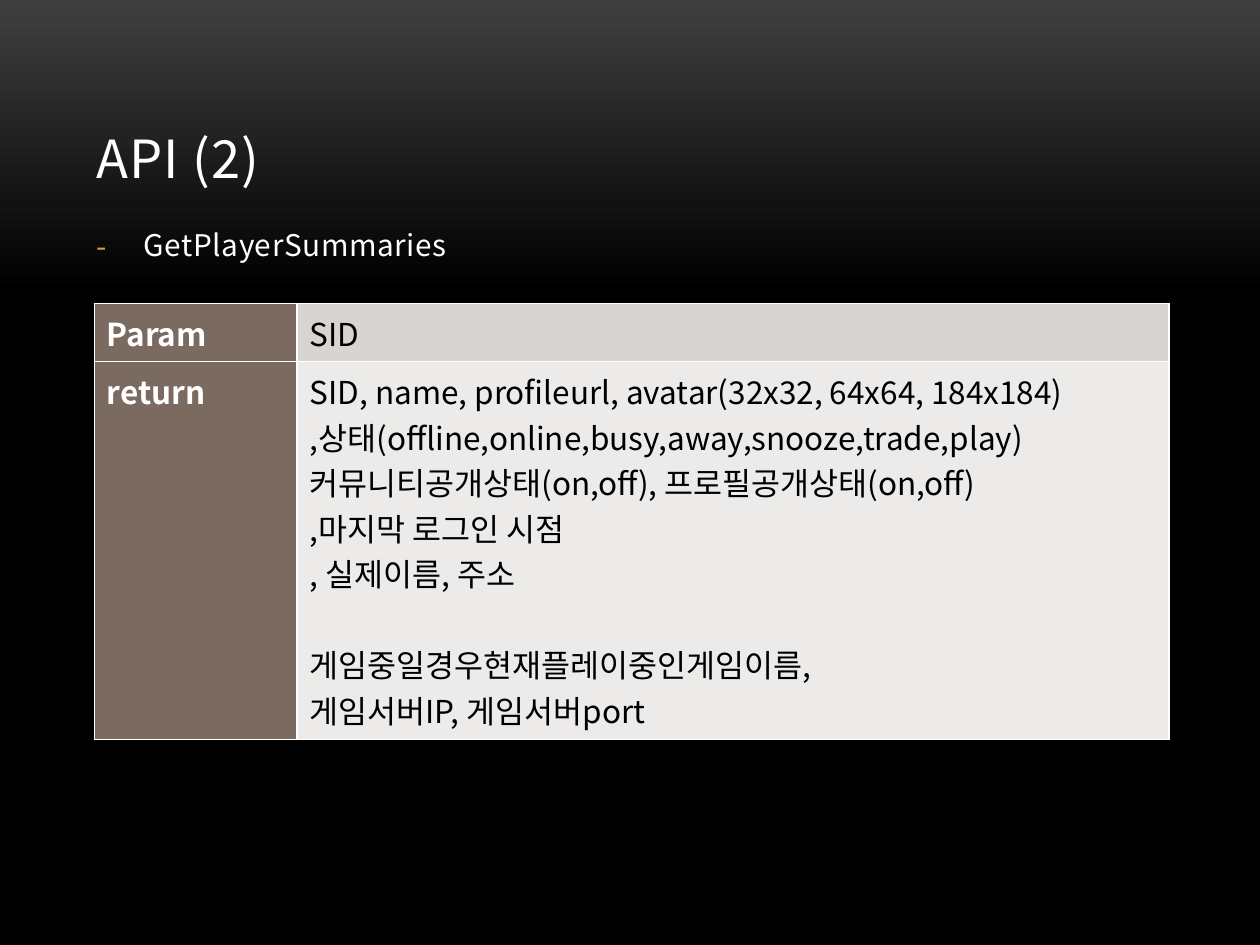
from copy import deepcopy
from dataclasses import dataclass

from lxml import etree
from pptx import Presentation
from pptx.dml.color import RGBColor
from pptx.enum.text import MSO_ANCHOR, MSO_AUTO_SIZE, PP_ALIGN
from pptx.oxml.ns import qn
from pptx.util import Cm, Pt

TITLE_ONLY = 5
BOTTOM, TOP = MSO_ANCHOR.BOTTOM, MSO_ANCHOR.TOP
LEFT = PP_ALIGN.LEFT
NO_AUTOFIT = MSO_AUTO_SIZE.NONE


@dataclass(frozen=True)
class Theme:
    font: str = "Noto Sans CJK KR"
    title_size: float = 30
    body_size: float = 17
    table_size: float = 18
    light: str = "FFFFFF"
    dark: str = "000000"
    glow: str = "3F3F3F"
    accent: str = "DC9E1F"
    header: str = "7A6A60"
    bands: tuple = ("D7D4D2", "ECEBEA")


def add_solid_fill(parent, color):
    fill = etree.SubElement(parent, qn("a:solidFill"))
    etree.SubElement(fill, qn("a:srgbClr"), val=color)


class SlideBuilder:
    def __init__(self, presentation, theme):
        self.theme = theme
        self.slide = presentation.slides.add_slide(
            presentation.slide_layouts[TITLE_ONLY])

    def format_runs(self, paragraph, size, color, bold=False, spacing=0):
        """Style every run; spacing is the letter spacing in points."""
        paragraph.alignment = LEFT
        for run in paragraph.runs:
            font = run.font
            font.name, font.size, font.bold = self.theme.font, Pt(size), bold
            font.color.rgb = RGBColor.from_string(color)
            properties = run._r.get_or_add_rPr()
            etree.SubElement(properties, qn("a:ea"), typeface=self.theme.font)
            if spacing:
                properties.set("spc", str(round(spacing * 100)))

    def background(self):
        """Fade from the glow at the top to the dark colour at 31 %."""
        fill = self.slide.background.fill
        fill.gradient()
        fill.gradient_angle = 270
        colors = (self.theme.glow, self.theme.dark)
        for stop, color, position in zip(fill.gradient_stops, colors, (0, 0.31)):
            stop.color.rgb = RGBColor.from_string(color)
            stop.position = position
        last_stop = list(self.slide.element.iter(qn("a:gs")))[-1]
        end_stop = deepcopy(last_stop)
        end_stop.set("pos", "100000")
        last_stop.addnext(end_stop)

    def title(self, text, left, top, width, height):
        shape = self.slide.shapes.title
        shape.left, shape.top, shape.width, shape.height = left, top, width, height
        frame = shape.text_frame
        frame.text = text
        frame.auto_size = NO_AUTOFIT
        frame.vertical_anchor = BOTTOM
        self.format_runs(frame.paragraphs[0], self.theme.title_size,
                         self.theme.light, spacing=0.5)

    def bullets(self, items, left, top, width, height):
        frame = self.slide.shapes.add_textbox(left, top, width, height).text_frame
        frame.word_wrap = True
        frame.text = "\n".join(items)
        for paragraph in frame.paragraphs:
            self.format_runs(paragraph, self.theme.body_size,
                             self.theme.light, spacing=0.3)
            paragraph.space_before, paragraph.space_after = Pt(3.4), Pt(6)
            properties = paragraph._p.get_or_add_pPr()
            properties.set("marL", str(Cm(0.95)))
            properties.set("indent", str(-Cm(0.95)))
            bullet_color = etree.SubElement(properties, qn("a:buClr"))
            etree.SubElement(bullet_color, qn("a:srgbClr"), val=self.theme.accent)
            etree.SubElement(properties, qn("a:buFont"), typeface=self.theme.font)
            etree.SubElement(properties, qn("a:buChar"), char="-")

    def cell(self, cell, text, fill, color, bold):
        cell.text = text
        cell.vertical_anchor = TOP
        for paragraph in cell.text_frame.paragraphs:
            self.format_runs(paragraph, self.theme.table_size, color, bold)
        properties = cell._tc.get_or_add_tcPr()
        for side in ("lnL", "lnR", "lnT", "lnB"):
            line = etree.SubElement(properties, qn(f"a:{side}"), w=str(Pt(1)))
            add_solid_fill(line, self.theme.light)
        cell.fill.solid()
        cell.fill.fore_color.rgb = RGBColor.from_string(fill)

    def table(self, rows, left, top, column_widths, row_heights):
        """Draw label and value pairs, with the labels as header column."""
        table = self.slide.shapes.add_table(
            len(rows), len(column_widths), left, top,
            sum(column_widths), sum(row_heights)).table
        table.first_row = table.horz_banding = False
        table.first_col = True
        for column, width in zip(table.columns, column_widths):
            column.width = width
        for row, height in zip(table.rows, row_heights):
            row.height = height
        theme = self.theme
        for index, (label, value) in enumerate(rows):
            self.cell(table.cell(index, 0), label, theme.header, theme.light, True)
            band = theme.bands[index % len(theme.bands)]
            self.cell(table.cell(index, 1), value, band, theme.dark, False)
        return table


PROFILE_FIELDS = [
    "SID, name, profileurl, avatar(32x32, 64x64, 184x184)",
    ",상태(offline,online,busy,away,snooze,trade,play)",
    "커뮤니티공개상태(on,off), 프로필공개상태(on,off)",
    ",마지막 로그인 시점",
    ", 실제이름, 주소",
]
GAME_FIELDS = [
    "게임중일경우현재플레이중인게임이름,",
    "게임서버IP, 게임서버port",
]


def main():
    presentation = Presentation()
    presentation.slide_width, presentation.slide_height = Cm(25.4), Cm(19.05)
    builder = SlideBuilder(presentation, Theme())
    builder.background()
    builder.title("API (2)", Cm(1.7), Cm(0.76), Cm(22.02), Cm(3.18))
    builder.bullets(["GetPlayerSummaries"],
                    Cm(1.7), Cm(4.45), Cm(22.02), Cm(11.43))
    table = builder.table(
        [("Param", "SID"), ("return", "\n".join(PROFILE_FIELDS + GAME_FIELDS))],
        Cm(1.9), Cm(6.12), (Cm(4.09), Cm(17.58)), (Cm(1.17), Cm(7.62)))
    first_game_field = table.cell(1, 1).text_frame.paragraphs[len(PROFILE_FIELDS)]
    first_game_field.space_before = Pt(26)
    presentation.save("out.pptx")


if __name__ == "__main__":
    main()
